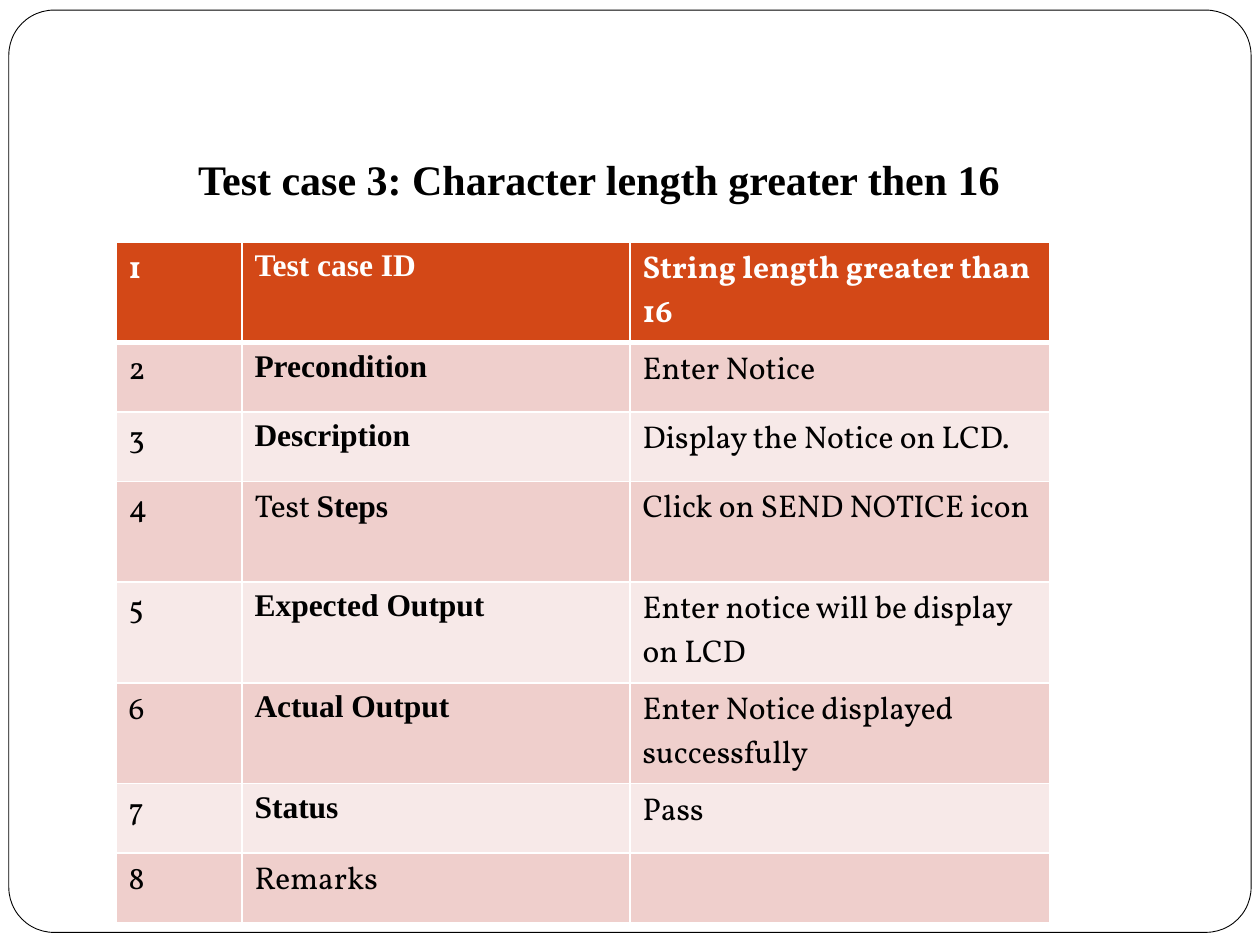
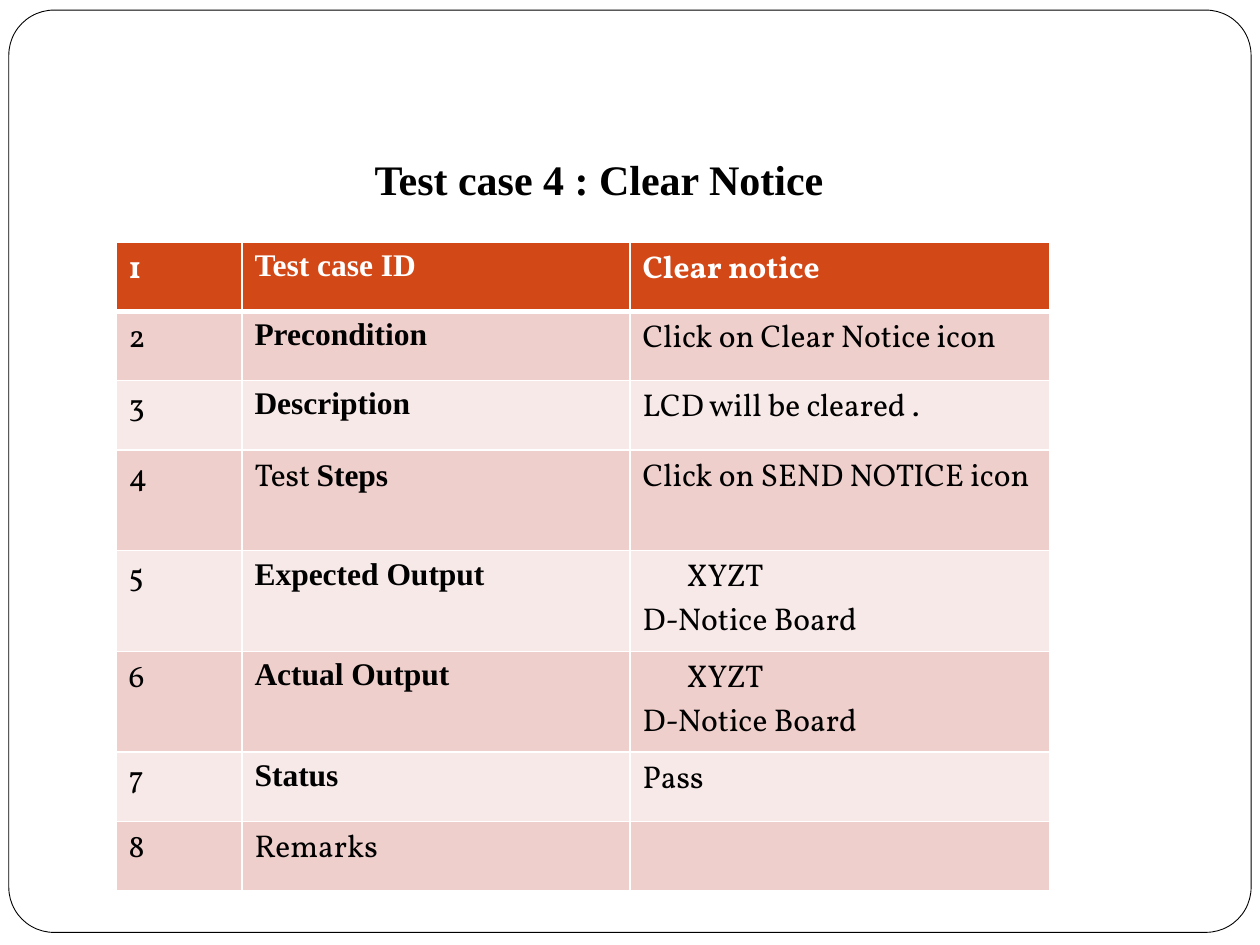
"""Build two test case slides, each a framed title above a banded table."""
import pptx
import pptx.util
import pptx.dml.color
import pptx.enum.shapes
import pptx.enum.text
import lxml.etree

SERIF, BODY = "Times New Roman", "Vollkorn"
BLACK, WHITE, HEAD = "000000", "FFFFFF", "D34817"
BANDS = ["F7E9E8", "EFCFCC"]
WIDE, HIGH = 10, 7.5
LEFT, TOP = 0.92, 1.92
COLS = [1, 3.08, 3.33]
SHORT, TALL = 0.55, 0.8
INDENT = 0.35
NS = "http://schemas.openxmlformats.org/drawingml/2006/main"

LABELS = [
    [("Test case ID", SERIF)],
    [("Precondition", SERIF)],
    [("Description", SERIF)],
    [("Test ", BODY), ("Steps", SERIF)],
    [("Expected Output", SERIF)],
    [("Actual Output", SERIF)],
    [("Status", SERIF)],
    [("Remarks", BODY)],
]
BOARD = ["\tXYZT", "D-Notice Board"]
CASES = [
    {
        "title": "Test case 3: Character length greater then 16",
        "tall": {0, 3, 4, 5},
        "values": [
            ["String length greater than 16"],
            ["Enter Notice"],
            ["Display the Notice on LCD."],
            ["Click on SEND NOTICE icon"],
            ["Enter notice will be display on LCD"],
            ["Enter Notice displayed successfully"],
            ["Pass"],
            [],
        ],
    },
    {
        "title": "Test case 4 : Clear Notice",
        "tall": {3, 4, 5},
        "values": [
            ["Clear notice"],
            ["Click on Clear Notice icon"],
            ["LCD will be cleared ."],
            ["Click on SEND NOTICE icon"],
            BOARD,
            BOARD,
            ["Pass"],
            [],
        ],
    },
]


def inch(*sizes):
    return [pptx.util.Inches(size) for size in sizes]


def tint(code):
    return pptx.dml.color.RGBColor.from_string(code)


def write(para, text, font=BODY, size=18, color=BLACK, bold=False):
    run = para.add_run()
    run.text = text
    run.font.name = font
    run.font.size = pptx.util.Pt(size)
    run.font.bold = bold
    run.font.color.rgb = tint(color)


def edge(cell, row):
    props = cell._tc.get_or_add_tcPr()
    widths = {"lnL": 1, "lnR": 1, "lnT": 3 if row == 1 else 1, "lnB": 1 if row else 3}
    for name, width in widths.items():
        line = lxml.etree.SubElement(props, f"{{{NS}}}{name}", w=str(pptx.util.Pt(width)))
        fill = lxml.etree.SubElement(line, f"{{{NS}}}solidFill")
        lxml.etree.SubElement(fill, f"{{{NS}}}srgbClr", val=WHITE)


def frame(slide):
    box = slide.shapes.add_shape(
        pptx.enum.shapes.MSO_SHAPE.ROUNDED_RECTANGLE,
        *inch(0.07, 0.08, WIDE - 0.14, HIGH - 0.18))
    box.adjustments[0] = 0.049
    box.shadow.inherit = False
    box.fill.solid()
    box.fill.fore_color.rgb = tint(WHITE)
    box.line.color.rgb = tint(BLACK)
    box.line.width = pptx.util.Pt(0.5)


def title(slide, text):
    box = slide.shapes.add_textbox(*inch(1.17, 1.17, 7.17, 0.5)).text_frame
    box.word_wrap = True
    box.auto_size = pptx.enum.text.MSO_AUTO_SIZE.SHAPE_TO_FIT_TEXT
    para = box.paragraphs[0]
    para.alignment = pptx.enum.text.PP_ALIGN.CENTER
    write(para, text, font=SERIF, size=24, bold=True)


def fill(cell, row, lines):
    edge(cell, row)
    cell.fill.solid()
    cell.fill.fore_color.rgb = tint(BANDS[row % 2] if row else HEAD)
    for num, runs in enumerate(lines):
        para = cell.text_frame.add_paragraph() if num else cell.text_frame.paragraphs[0]
        for text, font in runs:
            if text.startswith("\t"):
                para._p.get_or_add_pPr().set("marL", str(pptx.util.Inches(INDENT)))
            write(para, text.strip("\t"), font=font, color=BLACK if row else WHITE,
                  bold=row == 0 or font == SERIF)


def grid(slide, case):
    highs = [TALL if row in case["tall"] else SHORT for row in range(len(LABELS))]
    table = slide.shapes.add_table(
        len(highs), len(COLS), *inch(LEFT, TOP, sum(COLS), sum(highs))).table
    for col, width in zip(table.columns, inch(*COLS)):
        col.width = width
    for row, (high, label, value) in enumerate(zip(inch(*highs), LABELS, case["values"])):
        table.rows[row].height = high
        parts = [[[(str(row + 1), BODY)]], [label], [[(line, BODY)] for line in value]]
        for col, lines in enumerate(parts):
            fill(table.cell(row, col), row, lines)


deck = pptx.Presentation()
deck.slide_width, deck.slide_height = inch(WIDE, HIGH)
for case in CASES:
    slide = deck.slides.add_slide(deck.slide_layouts[6])
    frame(slide)
    grid(slide, case)
    title(slide, case["title"])
deck.save("out.pptx")
